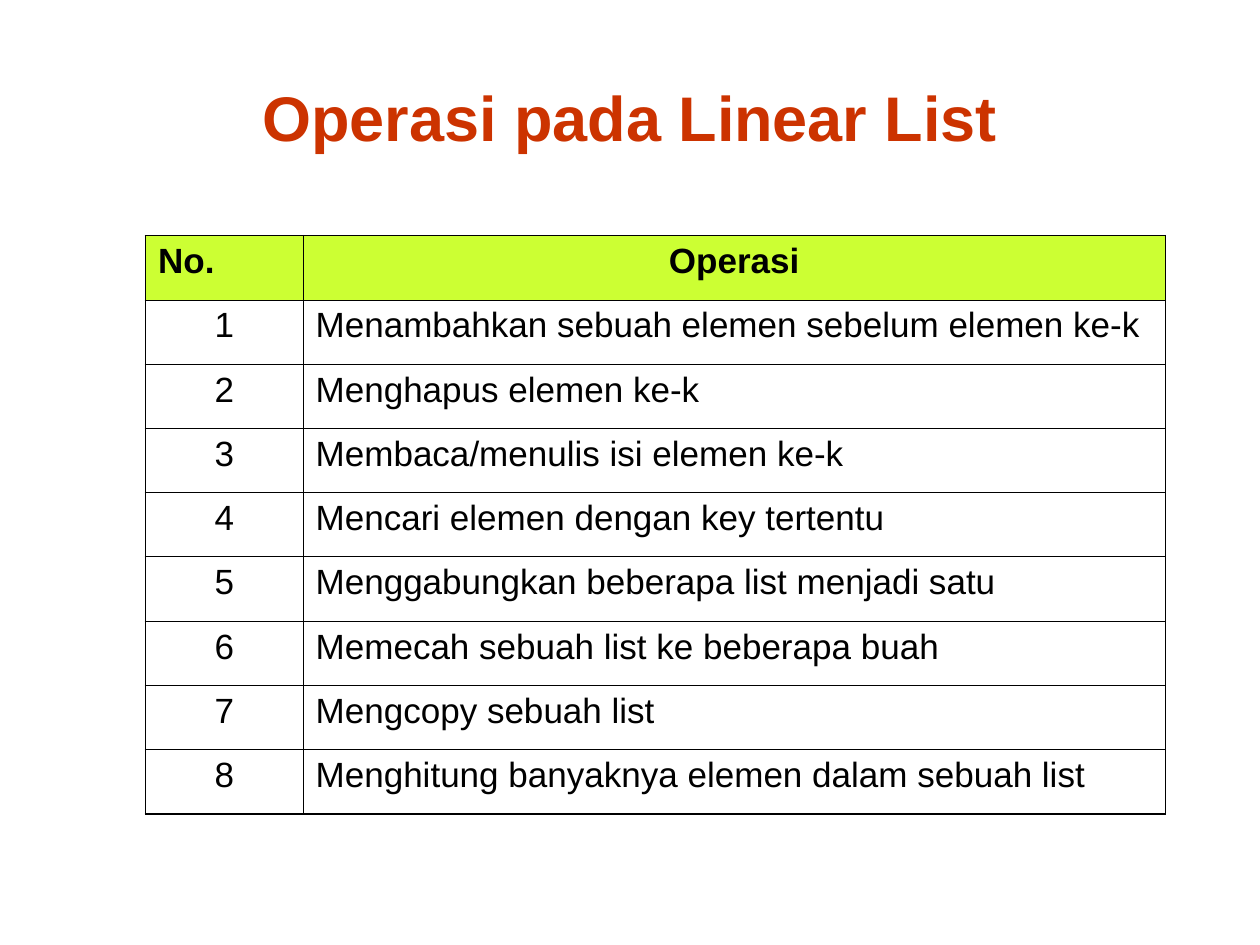
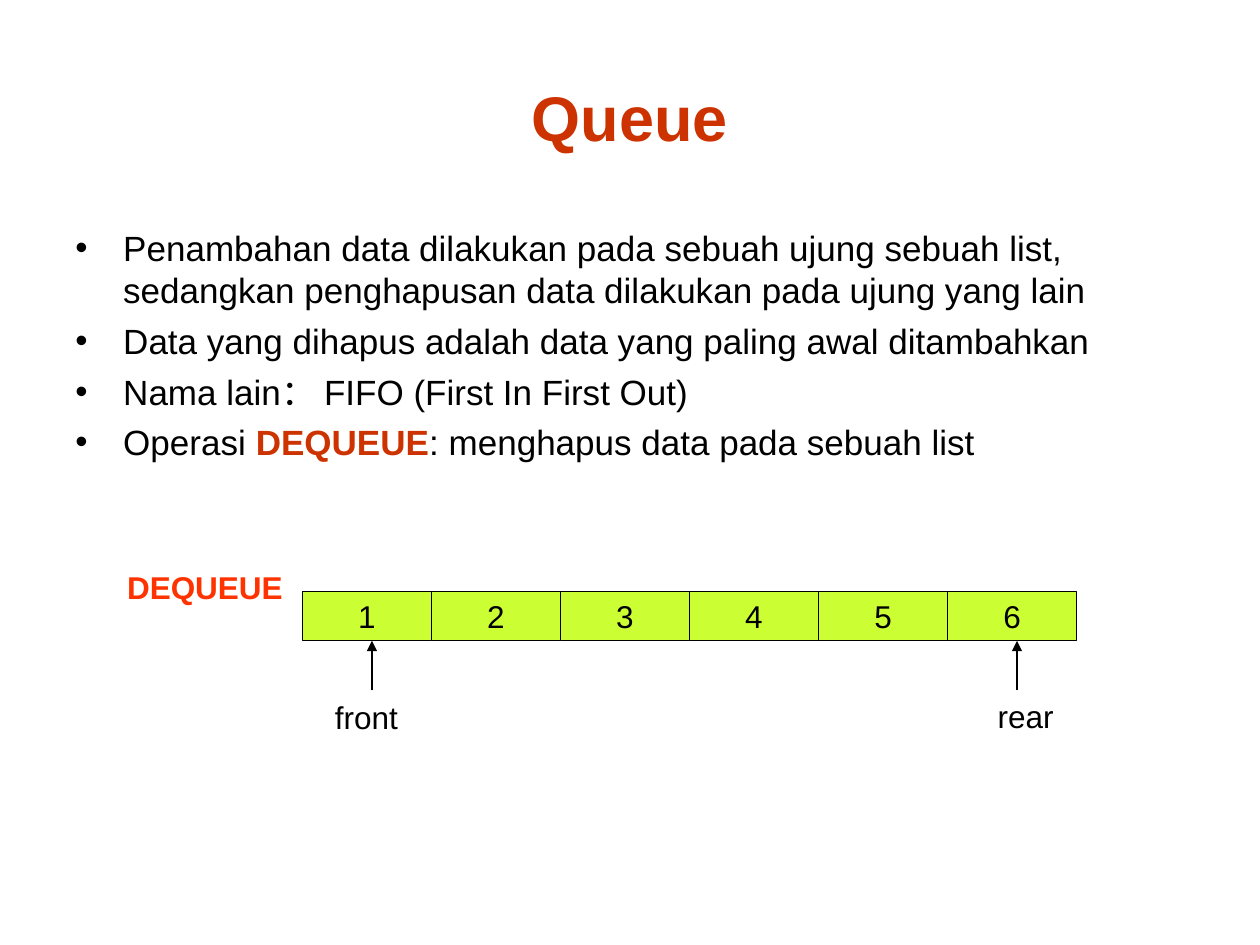
from lxml import etree
from pptx import Presentation
from pptx import util as u
from pptx.dml.color import RGBColor
from pptx.enum import shapes, text
from pptx.oxml import ns

COLOURS = {"title": "CC3300", "label": "FF3300", "ink": "000000", "lime": "CCFF33"}
FONT = "Arial"
GRID = u.Inches(0.1)
LEFT, CENTER = text.PP_ALIGN.LEFT, text.PP_ALIGN.CENTER
TOP, MIDDLE = text.MSO_ANCHOR.TOP, text.MSO_ANCHOR.MIDDLE
THICK, THIN = 1.08, 0.45

OPERATIONS = [
    "Menambahkan sebuah elemen sebelum elemen ke-k",
    "Menghapus elemen ke-k",
    "Membaca/menulis isi elemen ke-k",
    "Mencari elemen dengan key tertentu",
    "Menggabungkan beberapa list menjadi satu",
    "Memecah sebuah list ke beberapa buah",
    "Mengcopy sebuah list",
    "Menghitung banyaknya elemen dalam sebuah list",
]
QUEUE_POINTS = [
    ["Penambahan data dilakukan pada sebuah ujung sebuah list, "
     "sedangkan penghapusan data dilakukan pada ujung yang lain"],
    ["Data yang dihapus adalah data yang paling awal ditambahkan"],
    ["Nama lain： FIFO (First In First Out)"],
    ["Operasi ", ("DEQUEUE", "title"), ": menghapus data pada sebuah list"],
]


def grid(*cells):
    return [round(cell * GRID) for cell in cells]


def rgb(name):
    return RGBColor.from_string(COLOURS[name])


def sub(parent, tag, **attributes):
    return etree.SubElement(parent, ns.qn(tag), attributes)


def write(paragraph, words, size=18, colour="ink", bold=False, align=LEFT, before=None):
    paragraph.alignment = align
    if before:
        paragraph.space_before = u.Pt(before)
    run = paragraph.add_run()
    run.text = words
    run.font.name = FONT
    run.font.size = u.Pt(size)
    run.font.bold = bold
    run.font.color.rgb = rgb(colour)


def add_frame(slide, place, anchor=TOP, wrap=True, grow=False):
    frame = slide.shapes.add_textbox(*grid(*place)).text_frame
    frame.word_wrap = wrap
    frame.vertical_anchor = anchor
    fit = text.MSO_AUTO_SIZE
    frame.auto_size = fit.SHAPE_TO_FIT_TEXT if grow else fit.NONE
    return frame


def add_titled_slide(deck, title):
    slide = deck.slides.add_slide(deck.slide_layouts[6])
    heading = add_frame(slide, (5, 3, 90, 12.5), anchor=MIDDLE)
    write(heading.paragraphs[0], title, size=36, colour="title", bold=True, align=CENTER)
    return slide


def add_label(slide, words, place, wrap=False, **style):
    write(add_frame(slide, place, wrap=wrap, grow=True).paragraphs[0], words, **style)


def add_bullets(slide, points, place):
    frame = add_frame(slide, place)
    for index, pieces in enumerate(points):
        paragraph = frame.add_paragraph() if index else frame.paragraphs[0]
        for piece in pieces:
            words, colour = (piece, "ink") if isinstance(piece, str) else piece
            write(paragraph, words, size=20, colour=colour, bold=colour != "ink", before=5)
        properties = paragraph._p.get_or_add_pPr()
        indent = u.Inches(0.38)
        properties.set("marL", str(indent))
        properties.set("indent", str(-indent))
        sub(sub(properties, "a:buClr"), "a:srgbClr", val=COLOURS["ink"])
        sub(properties, "a:buFont", typeface=FONT)
        sub(properties, "a:buChar", char="•")


def set_borders(cell, widths):
    properties = cell._tc.get_or_add_tcPr()
    for side, width in zip("LRTB", widths):
        border = sub(properties, f"a:ln{side}", w=str(u.Pt(width)))
        sub(sub(border, "a:solidFill"), "a:srgbClr", val=COLOURS["ink"])


def add_operation_table(slide, operations, place, column_widths):
    rows = [("No.", "Operasi")]
    rows += [(str(number), name) for number, name in enumerate(operations, 1)]
    table = slide.shapes.add_table(len(rows), 2, *grid(*place)).table
    table.first_row = table.horz_banding = False
    for column, width in zip(table.columns, grid(*column_widths)):
        column.width = width
    for r, row in enumerate(rows):
        header, last = r == 0, r == len(rows) - 1
        for c, words in enumerate(row):
            cell = table.cell(r, c)
            set_borders(cell, (THIN if c else THICK, THICK if c else THIN,
                               THICK if header else THIN, THICK if last else THIN))
            if header:
                cell.fill.solid()
                cell.fill.fore_color.rgb = rgb("lime")
            else:
                cell.fill.background()
            write(cell.text_frame.paragraphs[0], words, size=20, bold=header,
                  align=CENTER if header == bool(c) else LEFT, before=5)


def add_queue_cell(slide, words, place):
    box = slide.shapes.add_shape(shapes.MSO_SHAPE.RECTANGLE, *grid(*place))
    box.shadow.inherit = False
    box.fill.solid()
    box.fill.fore_color.rgb = rgb("lime")
    box.line.color.rgb = rgb("ink")
    box.line.width = u.Pt(0.75)
    box.text_frame.word_wrap = False
    box.text_frame.vertical_anchor = MIDDLE
    write(box.text_frame.paragraphs[0], words, align=CENTER)


def add_pointer(slide, column, start_row, end_row):
    pointer = slide.shapes.add_connector(
        shapes.MSO_CONNECTOR.STRAIGHT, *grid(column, start_row, column, end_row))
    pointer.line.color.rgb = rgb("ink")
    pointer.line.width = u.Pt(0.75)
    sub(pointer.line._get_or_add_ln(), "a:tailEnd", type="triangle")
    sub(pointer._element.spPr, "a:effectLst")


def add_queue(slide, left, top, width, height, count):
    for index in range(count):
        add_queue_cell(slide, str(index + 1), (left + index * width, top, width, height))
    for index in (0, count - 1):
        column = left + (index + 0.5) * width + 0.4
        add_pointer(slide, column, top + 2 * height, top + height)


def main():
    deck = Presentation()
    deck.slide_width, deck.slide_height = grid(100, 75)

    operations = add_titled_slide(deck, "Operasi pada Linear List")
    add_operation_table(operations, OPERATIONS, (11.55, 18.7, 80.95, 45.9), (12.5, 68.45))

    queue = add_titled_slide(deck, "Queue")
    add_bullets(queue, QUEUE_POINTS, (5, 17.5, 90, 49.5))
    add_label(queue, "DEQUEUE", (9.1, 44.6, 14.8, 4), colour="label", bold=True)
    add_queue(queue, left=24, top=46.92, width=10.24, height=3.94, count=6)
    add_label(queue, "front", (25.6, 54.9, 7.3, 4), wrap=True)
    add_label(queue, "rear", (78.2, 54.8, 6.8, 4))

    deck.save("out.pptx")


if __name__ == "__main__":
    main()
